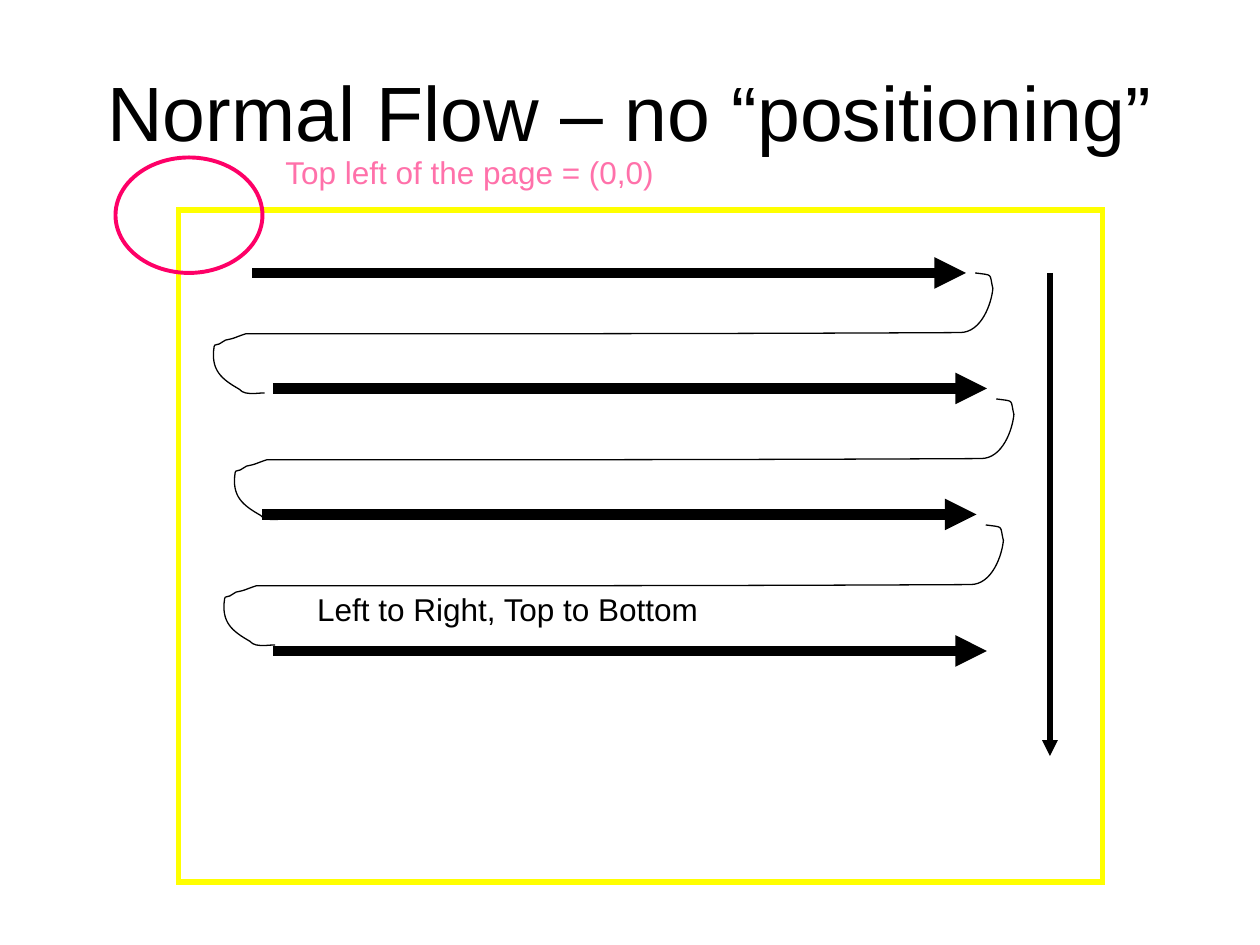
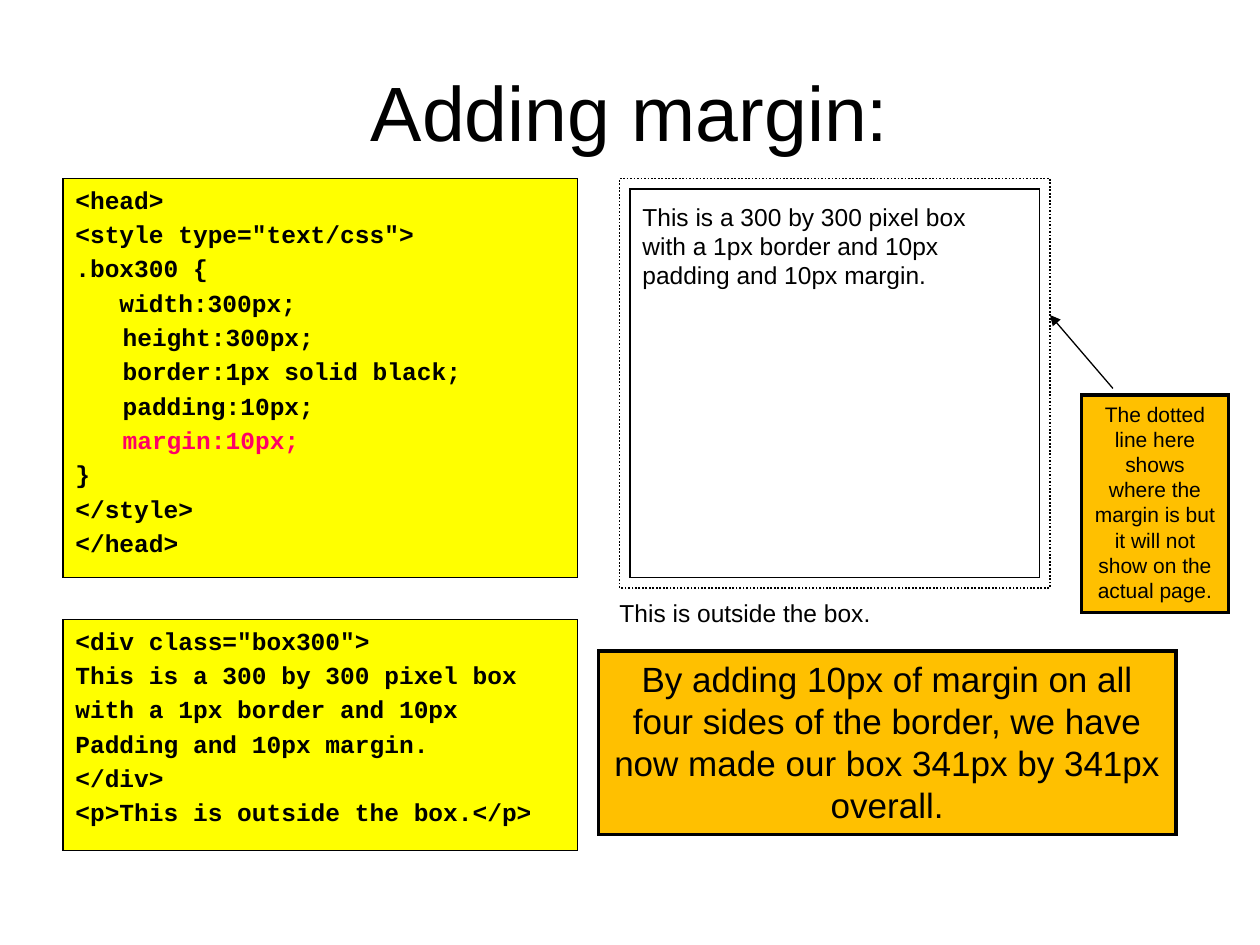
from lxml import etree
from pptx import Presentation
from pptx.dml.color import RGBColor
from pptx.enum.dml import MSO_LINE
from pptx.enum.shapes import MSO_CONNECTOR, MSO_SHAPE
from pptx.enum.text import MSO_ANCHOR, PP_ALIGN
from pptx.oxml.ns import qn
from pptx.util import Pt

RECTANGLE, ELLIPSE = MSO_SHAPE.RECTANGLE, MSO_SHAPE.OVAL
STRAIGHT, DOTTED = MSO_CONNECTOR.STRAIGHT, MSO_LINE.ROUND_DOT
TOP, MIDDLE = MSO_ANCHOR.TOP, MSO_ANCHOR.MIDDLE
LEFT, CENTER = PP_ALIGN.LEFT, PP_ALIGN.CENTER

# Shared look
BLACK, YELLOW, ORANGE = "000000", "FFFF00", "FFC000"
RED_PINK, LIGHT_PINK, CODE_PINK = "FE0067", "FF71AA", "FF0066"
SANS, MONO = "Arial", "Courier New"
INSETS = (7.2, 3.6, 7.2, 3.6)
CODE_INDENT = 27

# Line return: start point, then control, control, end for each curve
RETURN_START = (437.3, 0)
RETURN_CURVES = [
    ((448, 1.5), (445.2, 0), (447.4, 8.9)),
    ((446.6, 17.5), (440.9, 34.1), (428.6, 34.1)),
    ((292.6, 34.8), (156.5, 34.8), (20.4, 34.8)),
    ((11.8, 37.7), (15.4, 37), (8.9, 38.4)),
    ((7.4, 39.1), (6.7, 39.8), (5.3, 40.6)),
    ((4.6, 41.3), (2.4, 40.6), (2.4, 42)),
    ((0.2, 55.7), (6.7, 60.7), (16.8, 66.5)),
    ((17.5, 67.2), (19, 68.6), (20.4, 68.6)),
    ((24, 69.4), (27.6, 68.6), (31.2, 68.6)),
]

# Code lines: text, first-line indent, colour
HEAD_CODE = [
    ("<head>", 0, BLACK),
    ('<style type="text/css">', 0, BLACK),
    (".box300 {", 0, BLACK),
    ("width:300px;", 25.2, BLACK),
    ("height:300px;", CODE_INDENT, BLACK),
    ("border:1px solid black;", CODE_INDENT, BLACK),
    ("padding:10px;", CODE_INDENT, BLACK),
    ("margin:10px;", CODE_INDENT, CODE_PINK),
    ("}", 0, BLACK),
    ("</style>", 0, BLACK),
    ("</head>", 0, BLACK),
]
BODY_CODE = [(text, 0, BLACK) for text in (
    '<div class="box300">',
    "This is a 300 by 300 pixel box",
    "with a 1px border and 10px",
    "Padding and 10px margin.",
    "</div>",
    "<p>This is outside the box.</p>",
)]


def color(hex_string):
    return RGBColor.from_string(hex_string)


def points(*lengths):
    return [Pt(length) for length in lengths]


def add_run(paragraph, text, size, font=SANS, ink=BLACK, bold=False):
    run = paragraph.add_run()
    run.text = text
    run.font.name, run.font.size, run.font.bold = font, Pt(size), bold
    run.font.color.rgb = color(ink)


def prepare_frame(shape, insets=INSETS, anchor=TOP):
    frame = shape.text_frame
    frame.word_wrap = True
    frame.vertical_anchor = anchor
    (frame.margin_left, frame.margin_top,
     frame.margin_right, frame.margin_bottom) = points(*insets)
    return frame


def write(shape, lines, size, ink=BLACK, align=LEFT, insets=INSETS, anchor=TOP):
    """Fill a shape with one paragraph, broken into the given lines."""
    paragraph = prepare_frame(shape, insets, anchor).paragraphs[0]
    paragraph.alignment = align
    for number, line in enumerate(lines):
        if number:
            paragraph.add_line_break()
        add_run(paragraph, line, size, ink=ink)


def add_label(slide, box, text, size, **options):
    write(slide.shapes.add_textbox(*points(*box)), [text], size, **options)


def add_title(slide, box, text):
    add_label(slide, box, text, 44, align=CENTER, anchor=MIDDLE)


def style_outline(shape, fill, line, width):
    shape.shadow.inherit = False
    if fill:
        shape.fill.solid()
        shape.fill.fore_color.rgb = color(fill)
    else:
        shape.fill.background()
    shape.line.color.rgb = color(line)
    shape.line.width = Pt(width)


def add_box(slide, box, width, fill=None, line=BLACK, kind=RECTANGLE):
    shape = slide.shapes.add_shape(kind, *points(*box))
    style_outline(shape, fill, line, width)
    # Sharp corners
    etree.SubElement(shape.line._get_or_add_ln(), qn("a:miter"), lim="800000")
    return shape


def add_code(slide, box, code):
    frame = prepare_frame(add_box(slide, box, 0.75, fill=YELLOW))
    for number, (text, indent, ink) in enumerate(code):
        paragraph = frame.add_paragraph() if number else frame.paragraphs[0]
        paragraph.alignment = LEFT
        paragraph.space_after = Pt(2.8)
        properties = paragraph._p.get_or_add_pPr()
        properties.set("marL", str(Pt(CODE_INDENT)))
        properties.set("indent", str(Pt(indent - CODE_INDENT)))
        add_run(paragraph, text, 14, MONO, ink, bold=True)


def add_callout(slide, box, text, size):
    write(add_box(slide, box, 2, fill=ORANGE), [text], size, align=CENTER)


def add_arrow(slide, start, end, width):
    arrow = slide.shapes.add_connector(STRAIGHT, *points(*start, *end))
    arrow.line.color.rgb = color(BLACK)
    arrow.line.width = Pt(width)
    etree.SubElement(arrow.line._get_or_add_ln(), qn("a:tailEnd"), type="triangle")
    etree.SubElement(arrow._element.spPr, qn("a:effectLst"))


def bend_segments(shape):
    """Turn every three line segments of an outline into one cubic curve."""
    segments = list(shape._element.iter(qn("a:lnTo")))
    for first in range(0, len(segments), 3):
        curve = etree.Element(qn("a:cubicBezTo"))
        segments[first].addprevious(curve)
        for segment in segments[first:first + 3]:
            curve.append(segment[0])
            segment.getparent().remove(segment)


def add_line_return(slide, left, top):
    def place(point):
        return Pt(left + point[0]), Pt(top + point[1])

    builder = slide.shapes.build_freeform(*place(RETURN_START))
    outline = [place(point) for curve in RETURN_CURVES for point in curve]
    builder.add_line_segments(outline, close=False)
    shape = builder.convert_to_shape()
    bend_segments(shape)
    style_outline(shape, None, BLACK, 0.75)


def build_normal_flow(slide):
    add_title(slide, (54, 18, 612, 90), "Normal Flow – no “positioning”")

    # Page with its caption
    page = add_box(slide, (102, 120, 528, 384), 3, line=YELLOW)
    write(page, ["Left to Right, Top to Bottom"], 18, insets=(79.2, 217.4, 7.2, 3.6))

    # Reading direction: rows, returns and the way down
    for left, top in ((144, 156), (156, 222), (150, 294), (156, 372)):
        add_arrow(slide, (left, top), (left + 408, top), 6)
    for row, left in enumerate((120, 132, 126)):
        add_line_return(slide, left, 156 + 72 * row)
    add_arrow(slide, (600, 156), (600, 432), 3)

    # Page origin
    add_box(slide, (66, 90, 84, 66), 2.25, line=RED_PINK, kind=ELLIPSE)
    add_label(slide, (156, 84, 432, 36), "Top left of the page = (0,0)", 18,
              ink=LIGHT_PINK)


def build_adding_margin(slide):
    add_title(slide, (36, 24, 648, 78), "Adding margin:")

    # Code
    add_code(slide, (36, 102, 294, 228), HEAD_CODE)
    add_code(slide, (36, 354, 294, 132), BODY_CODE)

    # Rendered box inside its margin
    bordered_box = add_box(slide, (360, 108, 234, 222), 1)
    write(bordered_box, ["This is a 300 by 300 pixel box",
                         "with a 1px border and 10px",
                         "padding and 10px margin."], 14,
          insets=(7.2, 7.2, 7.2, 3.6))
    margin_edge = add_box(slide, (354, 102, 246, 234), 1)
    margin_edge.line.dash_style = DOTTED
    add_label(slide, (354, 342, 270, 20), "This is outside the box.", 14,
              insets=(0, 0, 7.2, 3.6))

    # Explanations
    add_callout(slide, (342, 372, 330, 105),
                "By adding 10px of margin on all four sides of the border, "
                "we have now made our box 341px by 341px overall.", 20)
    add_callout(slide, (618, 225.7, 84, 124.5),
                "The dotted line here shows where the margin is but it will "
                "not show on the actual page.", 12)
    add_arrow(slide, (636, 222), (600, 180), 0.75)


def main():
    presentation = Presentation()
    presentation.slide_width, presentation.slide_height = points(720, 540)
    blank = presentation.slide_layouts[6]
    for build in (build_normal_flow, build_adding_margin):
        build(presentation.slides.add_slide(blank))
    presentation.save("out.pptx")


if __name__ == "__main__":
    main()
